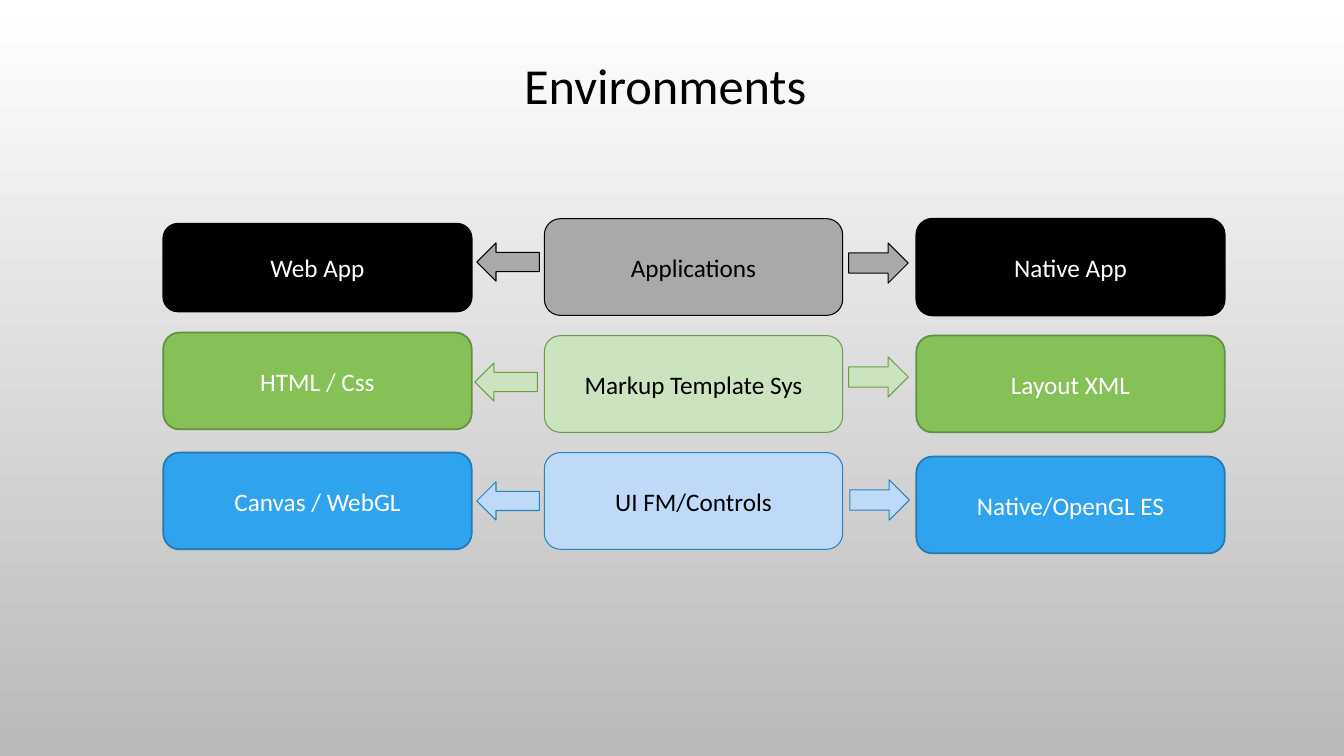
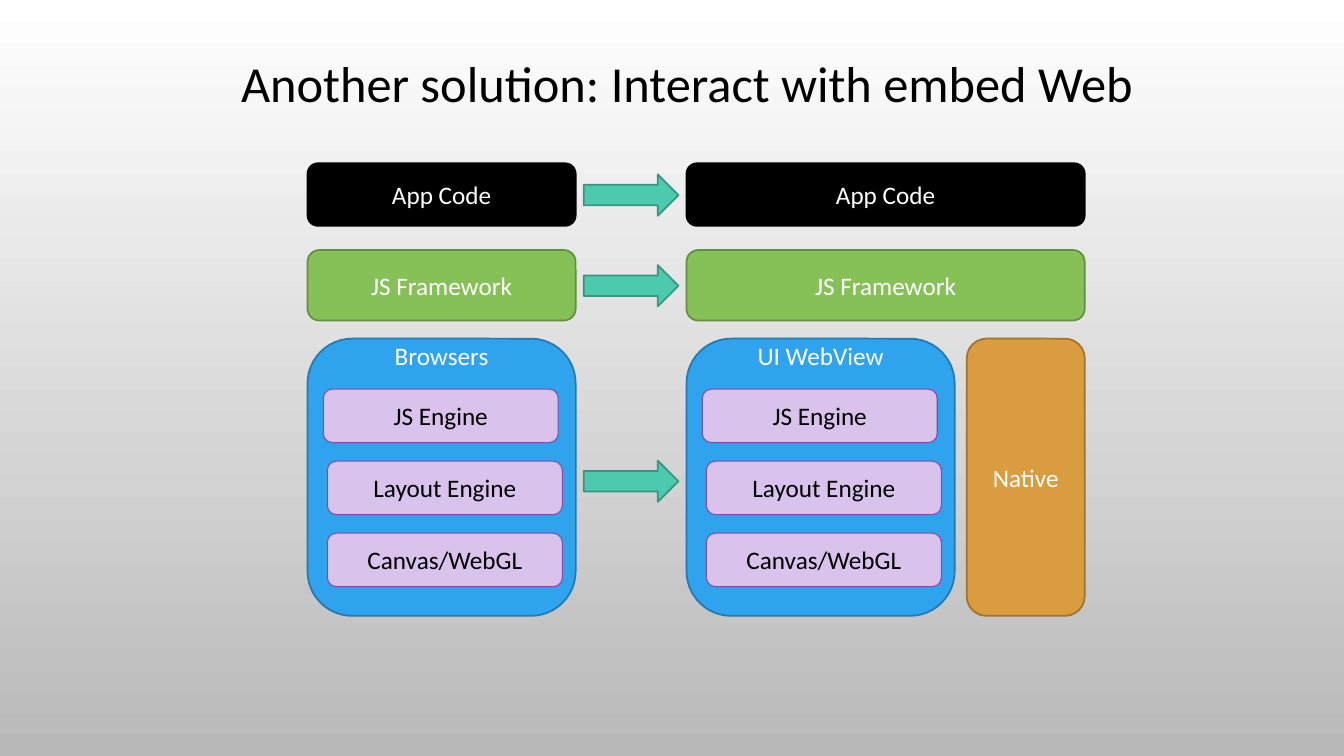
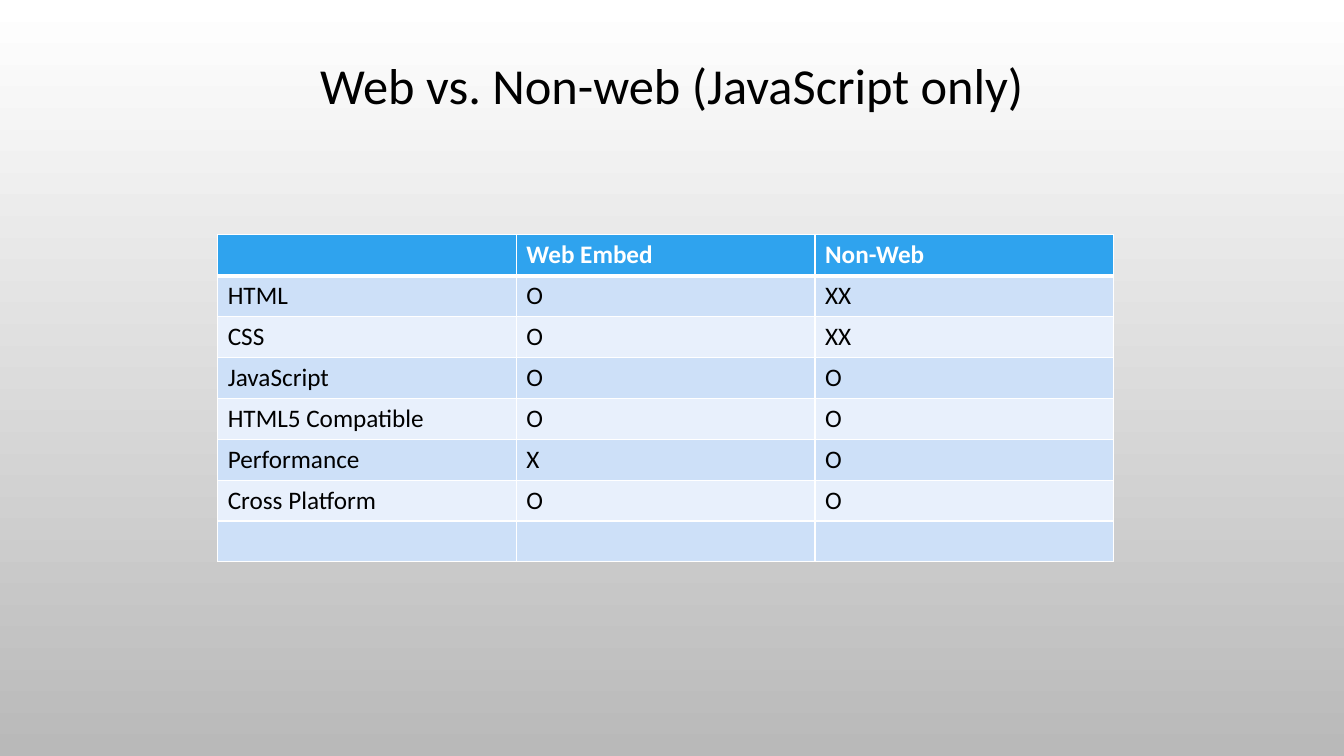
from dataclasses import dataclass, field

from lxml import etree
from pptx import Presentation
from pptx import util as u
from pptx.dml.color import RGBColor
from pptx.enum import shapes, text
from pptx.oxml import ns


@dataclass(frozen=True)
class Swatch:
    fill: str
    line: str
    ink: str = "FFFFFF"
    weight: float = 1.25


@dataclass(frozen=True)
class Theme:
    font: str = "Calibri"
    title_size: int = 36
    body_size: int = 18
    ink: str = "000000"
    paper: str = "FFFFFF"
    backdrop: tuple = ("FFFFFF", "B9B9B9")
    header: str = "2FA3EE"
    bands: tuple = ("CDE0F8", "E8F0FC")
    swatches: dict = field(default_factory=lambda: {
        "black": Swatch("000000", "000000"),
        "green": Swatch("86C157", "638F40"),
        "blue": Swatch("2FA3EE", "2379B0"),
        "orange": Swatch("D99C3F", "A1732F"),
        "teal": Swatch("4BCAAD", "379580"),
        "pale grey": Swatch("A9A9A9", "000000", "000000", 0.75),
        "pale green": Swatch("CCE3BF", "6B9B46", "000000", 0.75),
        "pale blue": Swatch("BFDAF9", "2683BF", "000000", 0.75),
        "pale purple": Swatch("D9C3EC", "834AA7", "000000", 0.75),
    })


def assign(target, values):
    for name, value in values.items():
        setattr(target, name, value)


def paint(fill, color):
    fill.solid()
    fill.fore_color.rgb = RGBColor.from_string(color)


class Deck:
    def __init__(self, theme):
        self.theme = theme
        self.file = Presentation()
        assign(self.file, {"slide_width": u.Inches(13.33), "slide_height": u.Inches(7.5)})
        self.page = None
        fill = self.file.slide_master.background.fill
        fill.gradient()
        fill.gradient_angle = 270
        for position, (stop, color) in enumerate(zip(fill.gradient_stops, theme.backdrop)):
            stop.position = position
            stop.color.rgb = RGBColor.from_string(color)

    def across(self, percent):
        return round(self.file.slide_width * percent / 100)

    def down(self, percent):
        return round(self.file.slide_height * percent / 100)

    def frame(self, left, top, width, height):
        return self.across(left), self.down(top), self.across(width), self.down(height)

    def add_words(self, para, words, color, size, bold=False):
        span = para.add_run()
        span.text = words
        assign(span.font, {"name": self.theme.font, "size": u.Pt(size), "bold": bold})
        span.font.color.rgb = RGBColor.from_string(color)

    def start(self, title, left=7.5, top=0):
        self.page = self.file.slides.add_slide(self.file.slide_layouts[5])
        box = self.page.shapes.title
        assign(box, dict(zip(("left", "top", "width", "height"), self.frame(left, top, 85, 23.33))))
        box.text_frame.vertical_anchor = text.MSO_ANCHOR.MIDDLE
        para = box.text_frame.paragraphs[0]
        assign(para, {"alignment": text.PP_ALIGN.CENTER, "line_spacing": 0.9})
        self.add_words(para, title, self.theme.ink, self.theme.title_size)

    def shape(self, kind, place, swatch_name):
        swatch = self.theme.swatches[swatch_name]
        box = self.page.shapes.add_shape(kind, *self.frame(*place))
        box.shadow.inherit = False
        paint(box.fill, swatch.fill)
        paint(box.line.fill, swatch.line)
        box.line.width = u.Pt(swatch.weight)
        return box

    def block(self, words, place, swatch_name, **insets):
        box = self.shape(shapes.MSO_SHAPE.ROUNDED_RECTANGLE, place, swatch_name)
        assign(box.text_frame, {"word_wrap": True, "vertical_anchor": text.MSO_ANCHOR.MIDDLE})
        assign(box.text_frame, {name: self.down(share) for name, share in insets.items()})
        para = box.text_frame.paragraphs[0]
        para.alignment = text.PP_ALIGN.CENTER
        self.add_words(para, words, self.theme.swatches[swatch_name].ink, self.theme.body_size)

    def arrow(self, place, swatch_name, leftward=False):
        kind = shapes.MSO_SHAPE.LEFT_ARROW if leftward else shapes.MSO_SHAPE.RIGHT_ARROW
        self.shape(kind, place, swatch_name)

    def borders(self, cell, bottom):
        properties = cell._tc.get_or_add_tcPr()
        for index, (side, weight) in enumerate((("L", 1), ("R", 1), ("T", 1), ("B", bottom))):
            line = etree.Element(ns.qn(f"a:ln{side}"), w=str(u.Pt(weight)))
            solid = etree.SubElement(line, ns.qn("a:solidFill"))
            etree.SubElement(solid, ns.qn("a:srgbClr"), val=self.theme.paper)
            properties.insert(index, line)

    def table(self, rows, place):
        grid = self.page.shapes.add_table(len(rows), len(rows[0]), *self.frame(*place)).table
        for index, row in enumerate(rows):
            heading = index == 0
            color = self.theme.header if heading else self.theme.bands[(index - 1) % 2]
            ink = self.theme.paper if heading else self.theme.ink
            for column, words in enumerate(row):
                cell = grid.cell(index, column)
                paint(cell.fill, color)
                self.borders(cell, 3 if heading else 1)
                if words:
                    para = cell.text_frame.paragraphs[0]
                    self.add_words(para, words, ink, self.theme.body_size, heading)


def environments(deck):
    deck.start("Environments", left=7)
    columns = (
        (12.15, 22.95, (
            ("Web App", 29.6, 11.6, "black"),
            ("HTML / Css", 44, 12.8, "green"),
            ("Canvas / WebGL", 59.87, 12.8, "blue"))),
        (40.5, 22.2, (
            ("Applications", 28.93, 12.8, "pale grey"),
            ("Markup Template Sys", 44.4, 12.8, "pale green"),
            ("UI FM/Controls", 59.87, 12.8, "pale blue"))),
        (68.18, 22.95, (
            ("Native App", 28.93, 12.8, "black"),
            ("Layout XML", 44.4, 12.8, "green"),
            ("Native/OpenGL ES", 60.4, 12.8, "blue"))),
    )
    for left, width, blocks in columns:
        for words, top, height, swatch in blocks:
            deck.block(words, (left, top, width, height), swatch)
    arrows = (
        ("pale grey", (35.48, 32.13), (63.15, 32.13)),
        ("pale green", (35.33, 48), (63.15, 47.2)),
        ("pale blue", (35.48, 63.73), (63.23, 63.47)),
    )
    for swatch, to_web, to_native in arrows:
        deck.arrow((*to_web, 4.65, 5.07), swatch, leftward=True)
        deck.arrow((*to_native, 4.43, 5.33), swatch)


def embedded_web(deck):
    deck.start("Another solution: Interact with embed Web", left=8.63, top=-0.27)
    engines = (("JS Engine", 1.18), ("Layout Engine", 1.48), ("Canvas/WebGL", 1.48))
    for left, width, host in ((22.88, 19.95, "Browsers"), (51.08, 29.63, "UI WebView")):
        deck.block("App Code", (left, 21.6, width, 8.27), "black")
        deck.block("JS Framework", (left, 33.07, width, 9.33), "green")
        deck.block(host, (left, 44.8, 19.95, 36.67), "blue", margin_top=0, margin_bottom=32.1)
        for row, (words, indent) in enumerate(engines):
            deck.block(words, (left + indent, 51.47 + 9.53 * row, 17.48, 7.07), "pale purple")
    deck.block("Native", (71.93, 44.8, 8.78, 36.67), "orange")
    for top in (23.07, 35.07, 60.93):
        deck.arrow((43.43, top, 7.05, 5.47), "teal")


def comparison(deck):
    deck.start("Web vs. Non-web (JavaScript only)")
    deck.table((
        ("", "Web Embed", "Non-Web"),
        ("HTML", "O", "XX"),
        ("CSS", "O", "XX"),
        ("JavaScript", "O", "O"),
        ("HTML5 Compatible", "O", "O"),
        ("Performance", "X", "O"),
        ("Cross Platform", "O", "O"),
        ("", "", ""),
    ), (16.2, 31.07, 66.67, 43.26))


def main():
    deck = Deck(Theme())
    for build in (environments, embedded_web, comparison):
        build(deck)
    deck.file.save("out.pptx")


if __name__ == "__main__":
    main()
